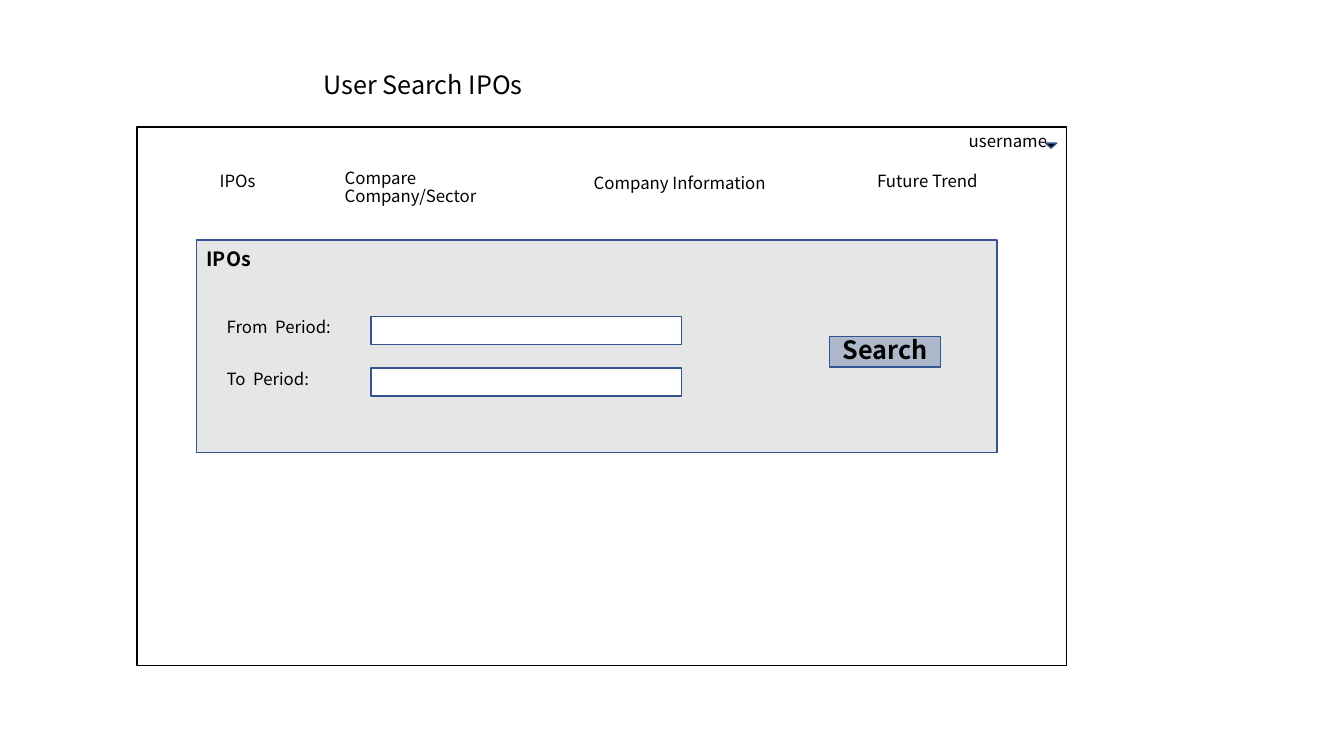
"""Build the wireframe slide of the IPO search page."""
from dataclasses import dataclass

import pptx
import pptx.dml.color
import pptx.enum.shapes
import pptx.enum.text
import pptx.util

Inches = pptx.util.Inches
MSO_SHAPE = pptx.enum.shapes.MSO_SHAPE
FONT = "Noto Sans CJK SC"
BLACK, WHITE, BLUE = "000000", "FFFFFF", "325491"
FIELD_TOP, FIELD_STEP = 3.14, 0.51


@dataclass
class Box:
    left: float
    top: float
    width: float
    height: float
    fill: str
    line: str = BLUE
    kind: MSO_SHAPE = MSO_SHAPE.RECTANGLE
    rotation: float = 0


@dataclass
class Label:
    text: str
    left: float
    top: float
    width: float
    height: float = 0.3
    size: int = 12
    bold: bool = False


def rgb(value: str) -> pptx.dml.color.RGBColor:
    """Turn a hex string into a colour."""
    return pptx.dml.color.RGBColor.from_string(value)


def write(shape, text: str, size: int, bold: bool = False) -> None:
    """Put styled text into a shape."""
    tf = shape.text_frame
    tf.text = text
    tf.word_wrap = True
    p = tf.paragraphs[0]
    p.line_spacing = 0.9
    font = p.runs[0].font
    font.name, font.size, font.bold = FONT, pptx.util.Pt(size), bold
    font.color.rgb = rgb(BLACK)


def draw_box(s, box: Box):
    """Draw a filled and outlined shape."""
    sp = s.shapes.add_shape(box.kind, Inches(box.left), Inches(box.top),
                            Inches(box.width), Inches(box.height))
    sp.shadow.inherit = False
    sp.rotation = box.rotation
    sp.fill.solid()
    sp.fill.fore_color.rgb = rgb(box.fill)
    sp.line.color.rgb = rgb(box.line)
    sp.line.width = pptx.util.Pt(1)
    return sp


def draw_label(s, label: Label) -> None:
    """Draw a text box."""
    sp = s.shapes.add_textbox(Inches(label.left), Inches(label.top),
                              Inches(label.width), Inches(label.height))
    write(sp, label.text, label.size, label.bold)


def draw_button(s, box: Box, text: str) -> None:
    """Draw a button with a centred bold caption."""
    sp = draw_box(s, box)
    write(sp, text, 18, True)
    sp.text_frame.vertical_anchor = pptx.enum.text.MSO_ANCHOR.MIDDLE
    sp.text_frame.paragraphs[0].alignment = pptx.enum.text.PP_ALIGN.CENTER


def main() -> None:
    """Build and save the slide."""
    prs = pptx.Presentation()
    prs.slide_width, prs.slide_height = Inches(13.33), Inches(7.5)
    s = prs.slides.add_slide(prs.slide_layouts[6])

    window = Box(1.36, 1.26, 9.22, 5.34, WHITE, BLACK)
    user_arrow = Box(10.37, 1.42, 0.11, 0.05, BLACK,
                     kind=MSO_SHAPE.ISOSCELES_TRIANGLE, rotation=180)
    panel = Box(1.95, 2.38, 7.94, 2.11, "E7E6E6")
    for box in (window, user_arrow, panel):
        draw_box(s, box)

    labels = [
        Label("User Search IPOs", 3.11, 0.67, 5.7, 0.4, 18),
        Label("username", 9.51, 1.27, 1.07),
        Label("IPOs", 2.08, 1.67, 1.07),
        Label("Compare Company/Sector", 3.32, 1.64, 2.2),
        Label("Company Information", 5.79, 1.69, 1.95),
        Label("Future Trend", 8.6, 1.67, 1.75),
        Label("IPOs", 1.95, 2.43, 2.46, 0.34, 14, True),
    ]
    for label in labels:
        draw_label(s, label)

    for row, caption in enumerate(("From  Period:", "To  Period:")):
        top = FIELD_TOP + row * FIELD_STEP
        draw_label(s, Label(caption, 2.15, top - 0.02, 1.4))
        draw_box(s, Box(3.68, top, 3.08, 0.28, WHITE))

    draw_button(s, Box(8.23, 3.34, 1.1, 0.3, "ADB9CA"), "Search")
    prs.save("out.pptx")


if __name__ == "__main__":
    main()
